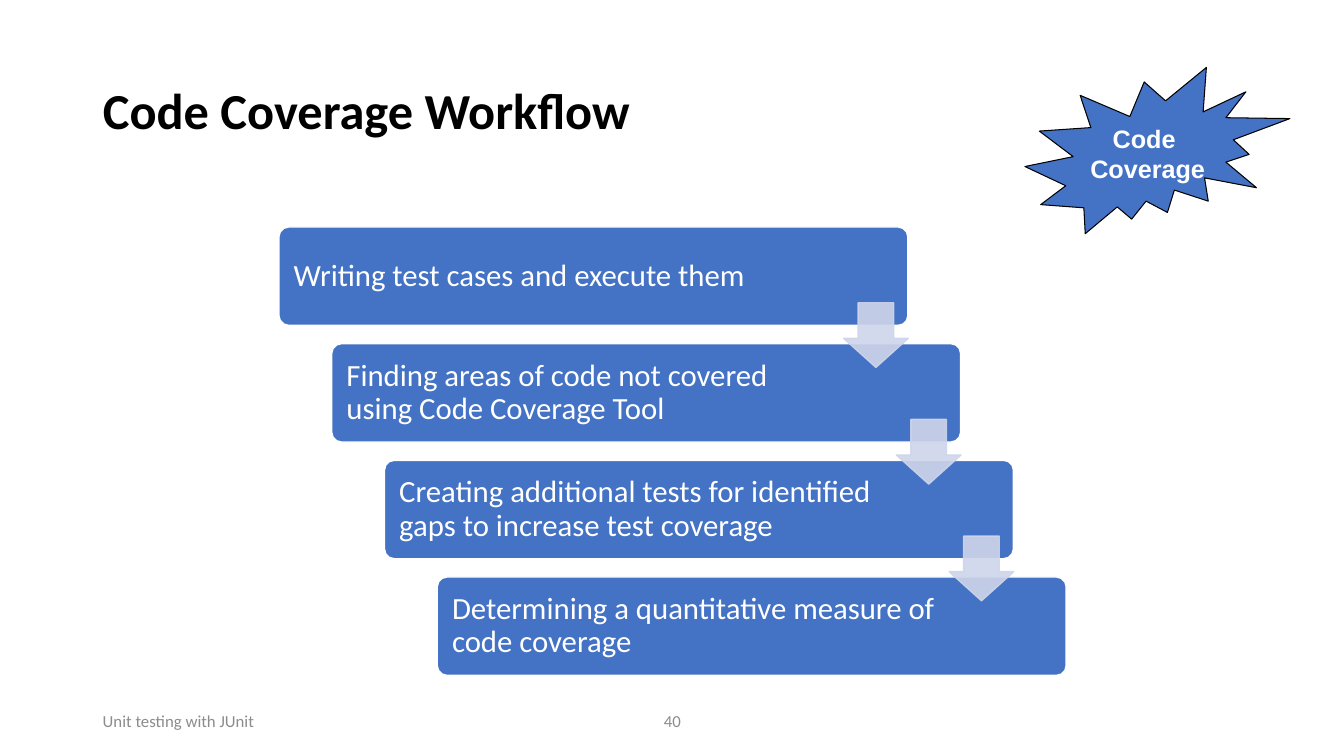
from lxml.etree import SubElement
from pptx import Presentation
from pptx.dml.color import RGBColor
from pptx.enum.shapes import MSO_SHAPE as Shape
from pptx.enum.text import MSO_ANCHOR as Anchor, MSO_AUTO_SIZE as AutoSize, PP_ALIGN as Align
from pptx.oxml.ns import qn
from pptx.util import Cm, Pt

BLUE = RGBColor(0x44, 0x72, 0xC4)
PALE_BLUE = RGBColor(0xCF, 0xD5, 0xEA)
GRAY = RGBColor(0x8C, 0x8C, 0x8C)
BLACK = RGBColor(0, 0, 0)
WHITE = RGBColor(255, 255, 255)

STEPS = [
    "Writing test cases and execute them",
    "Finding areas of code not covered using Code Coverage Tool",
    "Creating additional tests for identified gaps to increase test coverage",
    "Determining a quantitative measure of code coverage",
]
STEP_LEFT, STEP_TOP, STEP_WIDTH, STEP_HEIGHT = 7.03, 5.72, 15.85, 2.48
SHIFT_RIGHT, SHIFT_DOWN = 1.33, 2.94
ARROW_RIGHT, ARROW_DOWN, ARROW_SIZE = 14.23, 1.91, 1.63


def write_text(shape, text, size, color, font="Calibri", bold=False,
               align=Align.LEFT, spacing=1.0, wrap=True, insets=None):
    """Write one paragraph per line of text, in one format."""
    frame = shape.text_frame
    frame.text = text
    frame.word_wrap = wrap
    frame.auto_size = AutoSize.NONE
    frame.vertical_anchor = Anchor.MIDDLE
    if insets:
        frame.margin_left, frame.margin_right = (Cm(inset) for inset in insets)
    for para in frame.paragraphs:
        para.alignment = align
        para.line_spacing = spacing
        for span in para.runs:
            span.font.name = font
            span.font.size = Pt(size)
            span.font.bold = bold
            span.font.color.rgb = color


def set_opacity(shape, percent):
    """Make the fill and the line of a shape partly transparent."""
    for color in shape._element.spPr.iter(qn("a:srgbClr")):
        SubElement(color, qn("a:alpha"), val=str(percent * 1000))


class SlidePainter:
    """Holds the current slide and adds its elements, measured in cm."""

    def __init__(self, slide):
        """Keep the slide to draw on."""
        self.slide = slide

    def title(self, text, left, top, width, height):
        """Move and fill the title placeholder."""
        title = self.slide.shapes.title
        title.left, title.top = Cm(left), Cm(top)
        title.width, title.height = Cm(width), Cm(height)
        write_text(title, text, 36, BLACK, bold=True, spacing=0.9)

    def footer(self, text, left, width, align):
        """Add a small text at the foot of the slide."""
        box = self.slide.shapes.add_textbox(Cm(left), Cm(17.65), Cm(width), Cm(1.02))
        write_text(box, text, 12, GRAY, align=align)

    def shape(self, kind, left, top, width, height, fill, line, weight=1, adjust=()):
        """Add a preset shape with a flat fill and an outline."""
        shape = self.slide.shapes.add_shape(kind, Cm(left), Cm(top), Cm(width), Cm(height))
        shape.shadow.inherit = False
        shape.fill.solid()
        shape.fill.fore_color.rgb = fill
        shape.line.color.rgb = line
        shape.line.width = Pt(weight)
        for index, value in enumerate(adjust):
            shape.adjustments[index] = value
        return shape

    def burst(self, text, left, top, width, height):
        """Add the star-shaped label."""
        burst = self.shape(Shape.EXPLOSION2, left, top, width, height, BLUE, BLACK, 0.75)
        write_text(burst, text, 18, WHITE, font="Arial", bold=True,
                   align=Align.CENTER, wrap=False)

    def step(self, text, left, top):
        """Add one step of the workflow, with room for an arrow at its right."""
        box = self.shape(Shape.ROUNDED_RECTANGLE, left, top, STEP_WIDTH, STEP_HEIGHT,
                         BLUE, WHITE, adjust=[0.1])
        write_text(box, text, 22, WHITE, spacing=0.9, insets=(0.3, 3.2))

    def arrow(self, left, top):
        """Add a see-through arrow that leads to the next step."""
        arrow = self.shape(Shape.DOWN_ARROW, left, top, ARROW_SIZE, ARROW_SIZE,
                           PALE_BLUE, PALE_BLUE, adjust=[0.55, 0.45])
        set_opacity(arrow, 90)


def main():
    """Build the slide and save the deck."""
    deck = Presentation()
    deck.slide_width, deck.slide_height = Cm(33.87), Cm(19.05)
    title_only = deck.slide_layouts[5]
    page = SlidePainter(deck.slides.add_slide(title_only))

    page.footer("Unit testing with JUnit", 2.34, 7.62, Align.LEFT)
    page.footer("40", 11.23, 11.43, Align.CENTER)
    page.title("Code Coverage Workflow", 2.34, 1.02, 29.21, 3.68)
    page.burst("Code \nCoverage", 25.83, 1.7, 6.68, 4.19)

    corners = [(STEP_LEFT + i * SHIFT_RIGHT, STEP_TOP + i * SHIFT_DOWN)
               for i in range(len(STEPS))]
    for text, (left, top) in zip(STEPS, corners):
        page.step(text, left, top)
    for left, top in corners[:-1]:
        page.arrow(left + ARROW_RIGHT, top + ARROW_DOWN)

    deck.save("out.pptx")


main()
